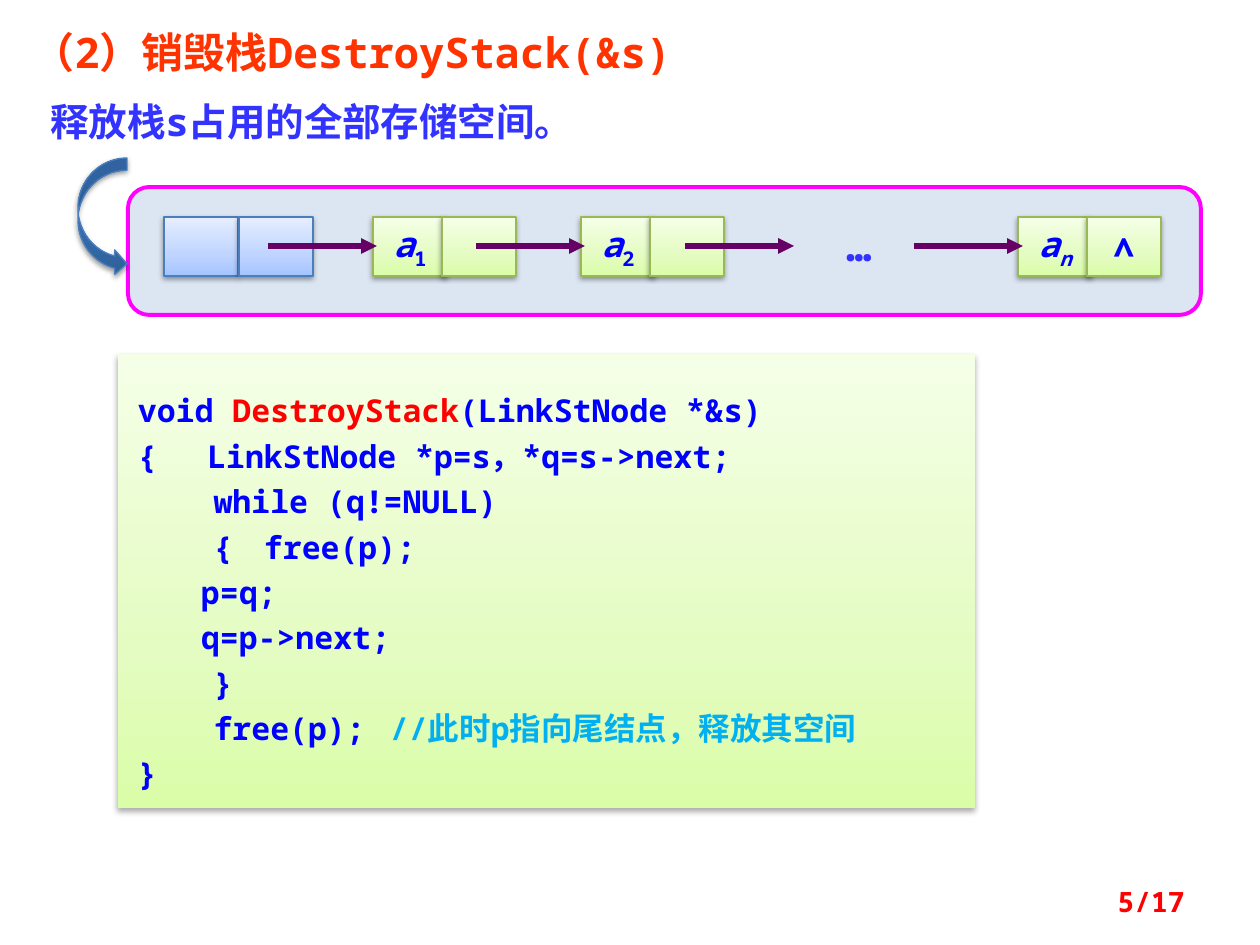
from dataclasses import dataclass

from lxml.etree import SubElement
from pptx import Presentation
from pptx.dml.color import RGBColor
from pptx.enum.shapes import MSO_CONNECTOR, MSO_SHAPE
from pptx.enum.text import MSO_ANCHOR, MSO_AUTO_SIZE, PP_ALIGN
from pptx.oxml.ns import qn
from pptx.util import Emu, Pt

PX = 914400 / 126  # EMU in one px


@dataclass(frozen=True)
class Theme:
    font: str = "Noto Sans Mono"
    title: str = "FF3300"
    accent: str = "3333FF"
    code: str = "0000FF"
    red: str = "FF0000"
    comment: str = "00B0F0"
    panel: str = "DCE6F2"
    panel_line: str = "FF00FF"
    pointer: str = "660066"
    blue_line: str = "4B7EBC"
    green_line: str = "98B955"
    blue: tuple = ((0, "A4C4FF"), (35, "BFD4FF"), (100, "E6EEFF"))
    green: tuple = ((0, "DAFDA7"), (35, "E4FCC2"), (100, "F5FFE7"))
    navy: tuple = ((0, "2F5F99"), (80, "3D7CC7"), (100, "3A7CCB"))
    title_size: int = 24
    lead_size: int = 22
    cell_size: int = 20
    code_size: int = 18
    page_size: int = 16


T = Theme()


def add_text(p, text, size, color, italic=False, baseline=None):
    r = p.add_run()
    r.text = text
    r.font.size, r.font.name = Pt(size), T.font
    r.font.bold, r.font.italic = True, italic
    r.font.color.rgb = RGBColor.from_string(color)
    SubElement(r.font._element, qn("a:ea"), typeface=T.font)
    if baseline:
        r.font._element.set("baseline", str(baseline * 1000))


def add_box(kind, x, y, w, h, stops, line=None, alpha=38, blur=3.1, dist=1.6):
    """Shape with a bottom-to-top gradient and a soft shadow below."""
    sp = shapes.add_shape(kind, *(Emu(round(v * PX)) for v in (x, y, w, h)))
    sp.fill.gradient()
    sp.fill.gradient_angle = 90
    gs_list = sp._element.spPr.find(".//" + qn("a:gsLst"))
    gs_list[:] = []
    for pos, color in stops:
        gs = SubElement(gs_list, qn("a:gs"), pos=str(pos * 1000))
        SubElement(gs, qn("a:srgbClr"), val=color)
    if line:
        sp.line.color.rgb = RGBColor.from_string(line)
        sp.line.width = Pt(0.75)
    else:
        sp.line.fill.background()
    effects = SubElement(sp._element.spPr, qn("a:effectLst"))
    shadow = SubElement(effects, qn("a:outerShdw"), blurRad=str(Pt(blur)),
                        dist=str(Pt(dist)), dir="5400000", rotWithShape="0")
    black = SubElement(shadow, qn("a:srgbClr"), val="000000")
    SubElement(black, qn("a:alpha"), val=str(alpha * 1000))
    return sp


prs = Presentation()
prs.slide_width, prs.slide_height = Emu(round(1260 * PX)), Emu(round(945 * PX))
slide = prs.slides.add_slide(prs.slide_layouts[5])
shapes = slide.shapes

# Panel around the linked list
panel = shapes.add_shape(MSO_SHAPE.ROUNDED_RECTANGLE,
                         *(Emu(round(v * PX)) for v in (128, 187, 1073, 128)))
panel.shadow.inherit = False
panel.fill.solid()
panel.fill.fore_color.rgb = RGBColor.from_string(T.panel)
panel.line.color.rgb = RGBColor.from_string(T.panel_line)
panel.line.width = Pt(2.25)

# Title, lead sentence, ellipsis and page number
texts = [
    (shapes.title, (20, 20, 1033, 68), "（2）销毁栈DestroyStack(&s)",
     T.title_size, T.title, PP_ALIGN.JUSTIFY, MSO_ANCHOR.TOP),
    (None, (38, 92, 1015, 68), "释放栈s占用的全部存储空间。",
     T.lead_size, T.accent, PP_ALIGN.JUSTIFY, MSO_ANCHOR.TOP),
    (None, (799, 213, 120, 63), "…",
     T.title_size, T.accent, PP_ALIGN.CENTER, MSO_ANCHOR.TOP),
    (None, (903, 876, 294, 50), "5/17",
     T.page_size, T.red, PP_ALIGN.RIGHT, MSO_ANCHOR.MIDDLE),
]
for sp, at, text, size, color, align, anchor in texts:
    sp = sp or shapes.add_textbox(0, 0, 0, 0)
    sp.left, sp.top, sp.width, sp.height = (Emu(round(v * PX)) for v in at)
    tf = sp.text_frame
    tf.word_wrap, tf.auto_size = True, MSO_AUTO_SIZE.NONE
    tf.vertical_anchor = anchor
    tf.paragraphs[0].alignment = align
    add_text(tf.paragraphs[0], text, size, color)

# Code listing
code_lines = [
    [("void ", T.code), ("DestroyStack", T.red), ("(LinkStNode *&s)", T.code)],
    [("{　 LinkStNode *p=s，*q=s->next;", T.code)],
    [("    while (q!=NULL)", T.code)],
    [("    {\tfree(p);", T.code)],
    [("\tp=q;", T.code)],
    [("\tq=p->next;", T.code)],
    [("    }", T.code)],
    [("    free(p);\t", T.code), ("//此时p指向尾结点，释放其空间", T.comment)],
    [("}", T.code)],
]
listing = add_box(MSO_SHAPE.RECTANGLE, 118, 354, 857, 454, T.green,
                  alpha=32, blur=3.5, dist=2.2)
tf = listing.text_frame
tf.word_wrap, tf.vertical_anchor = True, MSO_ANCHOR.TOP
tf.margin_left = tf.margin_right = Emu(round(20 * PX))
tf.margin_top, tf.margin_bottom = Emu(round(30 * PX)), Emu(round(15 * PX))
for i, runs in enumerate(code_lines):
    p = tf.add_paragraph() if i else tf.paragraphs[0]
    p.alignment, p.line_spacing = PP_ALIGN.LEFT, 1.2
    for text, color in runs:
        add_text(p, text, T.code_size, color)

# List nodes: left, step to the pointer cell, colours, data, subscript, pointer
nodes = [
    (164, 75, T.blue, T.blue_line, "", "", ""),
    (373, 69, T.green, T.green_line, "a", "1", ""),
    (581, 69, T.green, T.green_line, "a", "2", ""),
    (1018, 69, T.green, T.green_line, "a", "n", "∧"),
]
for x, step, stops, line, data, sub, pointer in nodes:
    for left, text, index in ((x, data, sub), (x + step, pointer, "")):
        cell = add_box(MSO_SHAPE.RECTANGLE, left, 217, 74, 59, stops, line)
        if not text:
            continue
        tf = cell.text_frame
        tf.word_wrap, tf.vertical_anchor = False, MSO_ANCHOR.MIDDLE
        p = tf.paragraphs[0]
        p.alignment = PP_ALIGN.CENTER
        add_text(p, text, T.cell_size, T.code, italic=bool(index))
        if index:
            add_text(p, index, T.cell_size, T.code,
                     italic=index.isalpha(), baseline=-25)

# Pointers between the nodes
for x in (268, 476, 685, 914):
    arrow = shapes.add_connector(
        MSO_CONNECTOR.STRAIGHT,
        *(Emu(round(v * PX)) for v in (x, 246, x + 109, 246)))
    arrow.line.color.rgb = RGBColor.from_string(T.pointer)
    arrow.line.width = Pt(3)
    SubElement(arrow.line._get_or_add_ln(), qn("a:tailEnd"), type="triangle")
    SubElement(arrow._element.spPr, qn("a:effectLst"))

# Curved arrow from the sentence to the list
add_box(MSO_SHAPE.CURVED_RIGHT_ARROW, 78, 158, 49, 118, T.navy, T.blue_line)

prs.save("out.pptx")
